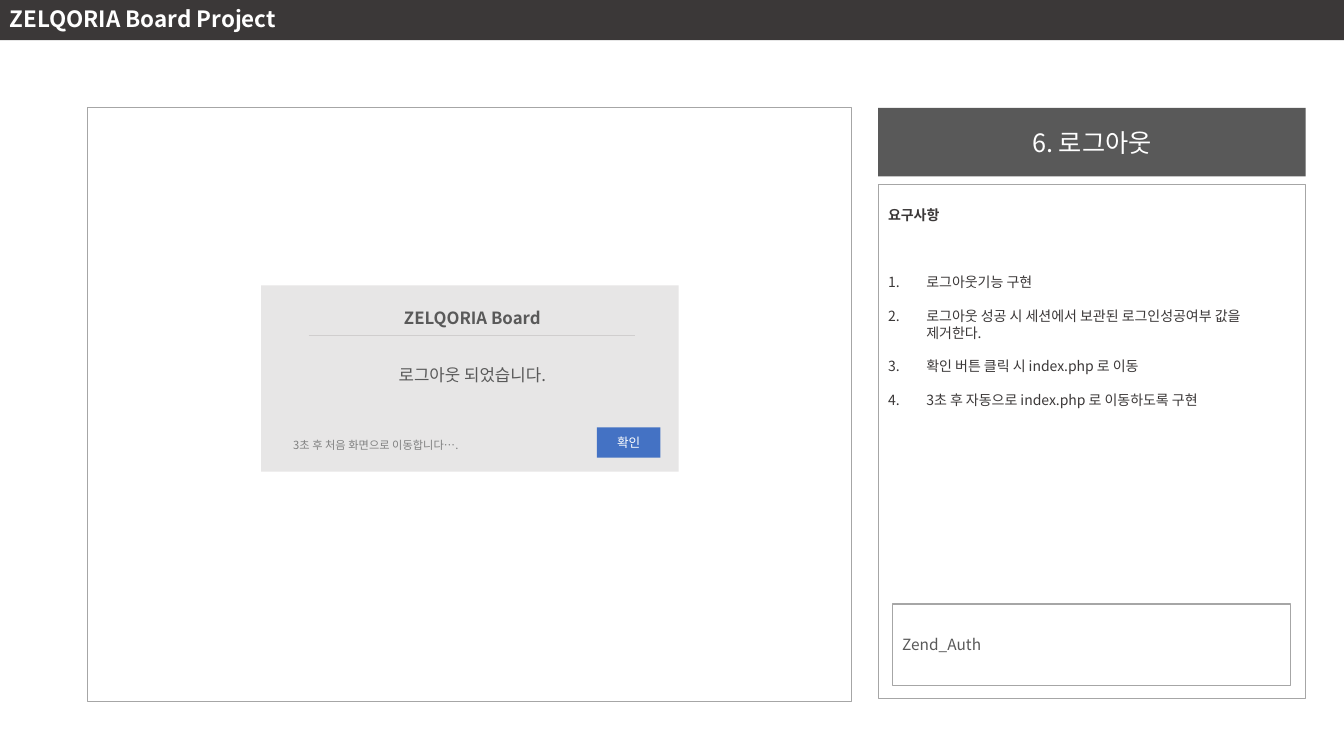
from lxml import etree
from pptx import Presentation
from pptx.dml.color import RGBColor
from pptx.enum import shapes, text
from pptx.oxml import ns
from pptx.util import Inches, Pt

THEME = {
    "font": "Noto Sans CJK KR",
    "white": "FFFFFF", "dark": "3B3838", "gray": "595959", "muted": "808080",
    "panel": "E7E6E6", "border": "A6A6A6", "rule": "D0CECE", "accent": "4472C4",
    "header": 16, "title": 18, "dialog": 12, "note": 11, "body": 10,
    "button": 9, "hint": 8,
}
BOARD = "ZELQORIA Board"
LEFT, CENTER = text.PP_ALIGN.LEFT, text.PP_ALIGN.CENTER
TOP, MIDDLE = text.MSO_ANCHOR.TOP, text.MSO_ANCHOR.MIDDLE


def style(sp, fill=None, line=None, width=0.75):
    """Set the fill and outline of a shape."""
    if fill:
        sp.fill.solid()
        sp.fill.fore_color.rgb = RGBColor.from_string(THEME[fill])
    if line:
        sp.line.color.rgb = RGBColor.from_string(THEME[line])
        sp.line.width = Pt(width)
    else:
        sp.line.fill.background()


def write(sp, lines, size, color, bold=False, align=LEFT, anchor=MIDDLE):
    """Write one paragraph per line and return the paragraphs."""
    tf = sp.text_frame
    for name, value in {"word_wrap": True, "vertical_anchor": anchor,
                        "auto_size": text.MSO_AUTO_SIZE.NONE}.items():
        setattr(tf, name, value)
    tf.text = "\n".join(lines)
    for p in tf.paragraphs:
        p.alignment = align
        r = p.runs[0]
        for name, value in {"name": THEME["font"], "size": Pt(THEME[size]),
                            "bold": bold}.items():
            setattr(r.font, name, value)
        r.font.color.rgb = RGBColor.from_string(THEME[color])
        etree.SubElement(r.font._element, ns.qn("a:ea"), typeface=THEME["font"])
    return tf.paragraphs


prs = Presentation()
prs.slide_width, prs.slide_height = Inches(13.33), Inches(7.5)
slide = prs.slides.add_slide(prs.slide_layouts[5])
dialog = slide.shapes.add_group_shape()

# Boxes: parent, place, fill, outline, outline width
boxes = {
    "screen": (slide, (0.87, 1.07, 7.58, 5.89), "white", "border", 0.75),
    "dialog": (dialog, (2.59, 2.83, 4.14, 1.85), "panel", None, 0),
    "button": (dialog, (5.92, 4.24, 0.63, 0.3), "accent", None, 0),
    "header": (slide, (0, -0.03, 13.33, 0.43), "dark", None, 0),
    "requirements": (slide, (8.71, 1.83, 4.24, 5.1), "white", "border", 0.5),
    "note": (slide, (8.85, 5.99, 3.95, 0.81), "white", "border", 1),
}
made = {}
for name, (parent, place, fill, line, width) in boxes.items():
    sp = parent.shapes.add_shape(shapes.MSO_SHAPE.RECTANGLE, *map(Inches, place))
    sp.shadow.inherit = False
    style(sp, fill, line, width)
    made[name] = sp

# The dialog sits in front of the screen panel
dialog._element.addprevious(made["screen"]._element)

# Header bar, button and note
write(made["header"], [f"{BOARD} Project"], "header", "white", bold=True)
write(made["button"], ["확인"], "button", "white", align=CENTER)
write(made["note"], ["Zend_Auth"], "note", "gray")

# Slide title
title = slide.shapes.title
title.left, title.top, title.width, title.height = map(Inches, (8.71, 1.07, 4.24, 0.68))
style(title, "gray")
write(title, ["6. 로그아웃"], "title", "white", align=CENTER)

# Dialog texts
for parent, place, line, size, color, bold, align in (
    (dialog, (2.81, 3.57, 3.75, 0.3), "로그아웃 되었습니다.", "dialog", "gray", False, CENTER),
    (dialog, (2.86, 3, 3.65, 0.32), BOARD, "dialog", "gray", True, CENTER),
    (slide, (2.81, 4.3, 2.09, 0.24), "3초 후 처음 화면으로 이동합니다….", "hint", "muted", False, LEFT),
):
    sp = parent.shapes.add_textbox(*map(Inches, place))
    write(sp, [line], size, color, bold, align, TOP)

# Rule under the dialog heading
rule = dialog.shapes.add_connector(shapes.MSO_CONNECTOR.STRAIGHT,
                                   *map(Inches, (3.06, 3.33, 6.3, 3.33)))
style(rule, line="rule", width=0.5)
etree.SubElement(rule._element.spPr, ns.qn("a:effectLst"))

# Requirements: a bold heading and a numbered list
sp = made["requirements"]
sp.text_frame.margin_top = Inches(0.22)
sp.text_frame.margin_right = Inches(0.25)
heading, *items = write(sp, [
    "요구사항",
    "로그아웃기능 구현",
    "로그아웃 성공 시 세션에서 보관된 로그인성공여부 값을 제거한다.",
    "확인 버튼 클릭 시 index.php 로 이동",
    "3초 후 자동으로 index.php 로 이동하도록 구현",
], "body", "dark", anchor=TOP)
heading.runs[0].font.bold = True
heading.line_spacing = Pt(12)
heading.space_after = Pt(24)
for p in items:
    p.line_spacing = p.space_before = Pt(12)
    pPr = p._p.get_or_add_pPr()
    pPr.set("marL", str(Inches(0.38)))
    pPr.set("indent", str(-Inches(0.38)))
    etree.SubElement(pPr, ns.qn("a:buFont"), typeface="+mj-lt")
    etree.SubElement(pPr, ns.qn("a:buAutoNum"), type="arabicPeriod")

prs.save("out.pptx")
